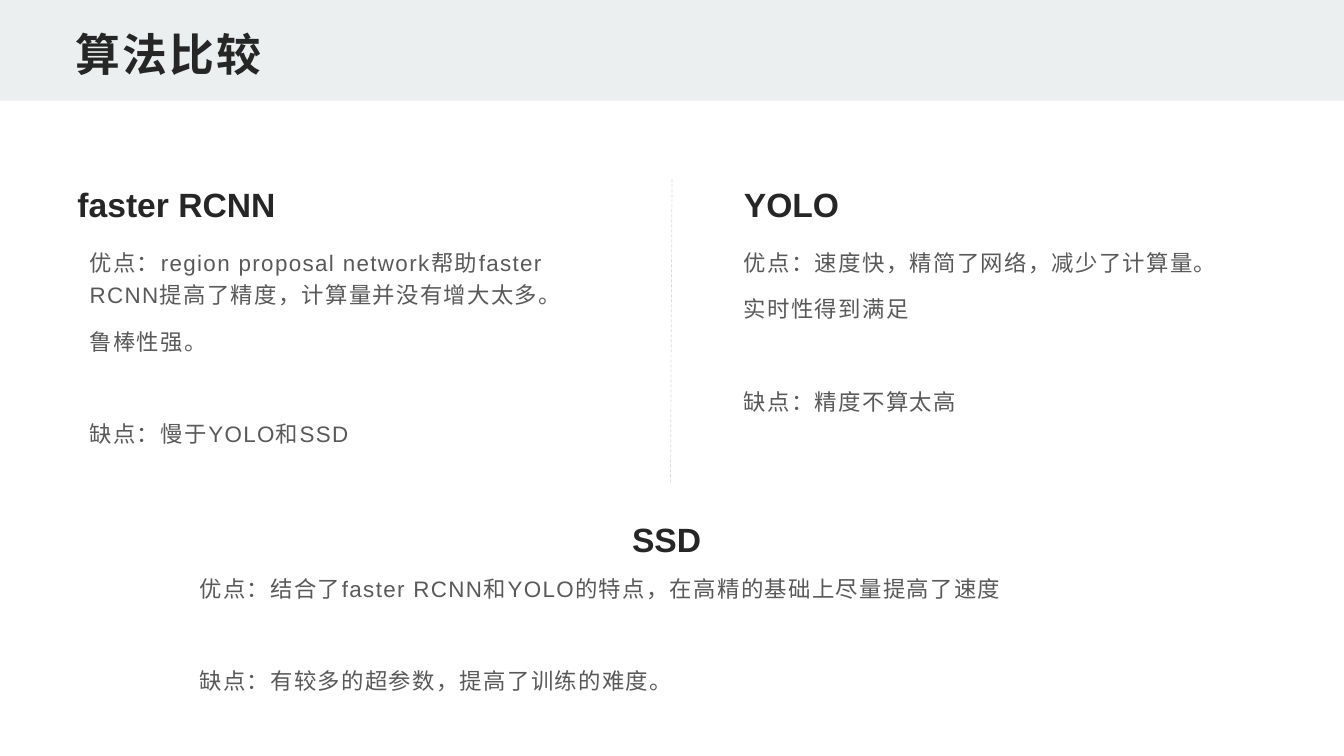
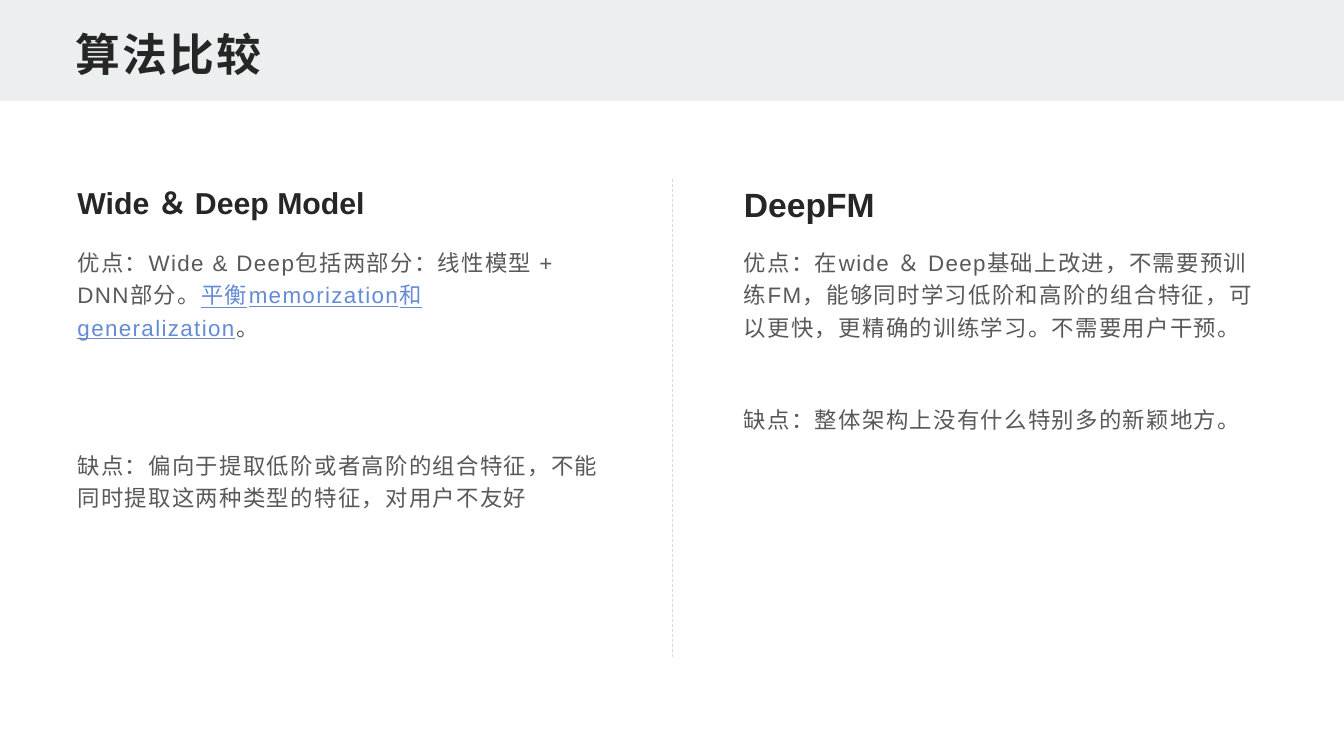
from dataclasses import dataclass

from lxml import etree
from pptx import Presentation
from pptx.dml.color import RGBColor as RGB
from pptx.enum.dml import MSO_LINE
from pptx.enum.lang import MSO_LANGUAGE_ID as LANG
from pptx.enum.shapes import MSO_CONNECTOR, MSO_SHAPE
from pptx.enum.text import MSO_ANCHOR
from pptx.oxml.ns import qn
from pptx.util import Inches, Pt

TITLE = "算法比较"

# A point is (blank lines before it, text pieces); every second piece is emphasised.
FASTER_RCNN = [
    (0, ["优点：region proposal network帮助faster RCNN提高了精度，计算量并没有增大太多。"]),
    (0, ["鲁棒性强。"]),
    (1, ["缺点：慢于YOLO和SSD"]),
]
YOLO = [
    (0, ["优点：速度快，精简了网络，减少了计算量。"]),
    (0, ["实时性得到满足"]),
    (1, ["缺点：精度不算太高"]),
]
SSD = [
    (0, ["优点：结合了faster RCNN和YOLO的特点，在高精的基础上尽量提高了速度"]),
    (1, ["缺点：有较多的超参数，提高了训练的难度。"]),
]
WIDE_DEEP = [
    (0, ["优点：Wide & Deep包括两部分：线性模型 + DNN部分。",
         "平衡memorization和generalization", "。"]),
    (2, ["缺点：偏向于提取低阶或者高阶的组合特征，不能同时提取这两种类型的特征，对用户不友好"]),
]
DEEP_FM = [
    (0, ["优点：在wide ＆ Deep基础上改进，不需要预训练FM，能够同时学习低阶和高阶的组合特征，"
         "可以更快，更精确的训练学习。不需要用户干预。"]),
    (1, ["缺点：整体架构上没有什么特别多的新颖地方。"]),
]


@dataclass(frozen=True)
class Theme:
    font: str = "Arial"
    band: RGB = RGB(0xEC, 0xEF, 0xEF)
    dark: RGB = RGB(0x26, 0x26, 0x26)
    body: RGB = RGB(0x59, 0x59, 0x59)
    accent: RGB = RGB(0x65, 0x8B, 0xD5)
    rule: RGB = RGB(0xD9, 0xD9, 0xD9)
    title_size: float = 32
    heading_size: float = 24
    small_heading_size: float = 21.6
    body_size: float = 16
    line_spacing: float = 1.2
    gap: float = 10
    blank_line: float = 33


THEME = Theme()
WIDTH, HEIGHT = 13.33, 7.5
MARGIN, COLUMN = 0.67, 5.38
LEFT, RIGHT = MARGIN, WIDTH - MARGIN - COLUMN
HEADING_TOP, HEADING_HEIGHT = 1.78, 0.5
BODY_TOP, BODY_HEIGHT = 2.37, 4.15
BODY_BOTTOM = BODY_TOP + BODY_HEIGHT


def inches(*lengths):
    return [Inches(length) for length in lengths]


def style(run, size, color, bold=False, tracking=0):
    """Format a run; tracking is letter spacing in points."""
    font = run.font
    font.name, font.size, font.bold = THEME.font, Pt(size), bold
    font.color.rgb = color
    font.language_id = LANG.SIMPLIFIED_CHINESE
    if tracking:
        run._r.get_or_add_rPr().set("spc", str(int(tracking * 100)))


def add_frame(slide, *box):
    frame = slide.shapes.add_textbox(*inches(*box)).text_frame
    frame.word_wrap = True
    return frame


def add_heading(slide, text, left, top=HEADING_TOP, size=THEME.heading_size):
    frame = add_frame(slide, left, top, COLUMN, HEADING_HEIGHT)
    frame.text = text
    style(frame.paragraphs[0].runs[0], size, THEME.dark, bold=True)


def add_points(slide, points, left, top=BODY_TOP, width=COLUMN, height=BODY_HEIGHT):
    frame = add_frame(slide, left, top, width, height)
    for index, (blank_lines, pieces) in enumerate(points):
        paragraph = frame.add_paragraph() if index else frame.paragraphs[0]
        paragraph.line_spacing = THEME.line_spacing
        paragraph.space_before = Pt(THEME.gap + blank_lines * THEME.blank_line)
        for position, piece in enumerate(pieces):
            emphasised = position % 2 == 1
            run = paragraph.add_run()
            run.text = piece
            style(run, THEME.body_size, THEME.accent if emphasised else THEME.body, tracking=1)
            run.font.underline = emphasised


def add_divider(slide, bottom, bottom_x=WIDTH / 2):
    divider = slide.shapes.add_connector(
        MSO_CONNECTOR.STRAIGHT, *inches(WIDTH / 2, HEADING_TOP, bottom_x, bottom))
    divider.line.color.rgb = THEME.rule
    divider.line.width = Pt(0.5)
    divider.line.dash_style = MSO_LINE.DASH
    etree.SubElement(divider._element.spPr, qn("a:effectLst"))


def add_titled_slide(deck):
    slide = deck.slides.add_slide(deck.slide_layouts[6])
    band = slide.shapes.add_shape(MSO_SHAPE.RECTANGLE, *inches(0, 0, WIDTH, 1))
    band.shadow.inherit = False
    band.fill.solid()
    band.fill.fore_color.rgb = THEME.band
    band.line.fill.background()

    frame = add_frame(slide, MARGIN, 0.17, WIDTH - 2 * MARGIN, 0.67)
    frame.vertical_anchor = MSO_ANCHOR.BOTTOM
    frame.margin_left = frame.margin_right = Inches(0.08)
    frame.margin_top = frame.margin_bottom = Inches(0.04)
    frame.text = TITLE
    style(frame.paragraphs[0].runs[0], THEME.title_size, THEME.dark, bold=True, tracking=1.5)
    return slide


def build_detection_slide(deck):
    slide = add_titled_slide(deck)
    add_points(slide, FASTER_RCNN, LEFT + 0.12)
    add_heading(slide, "faster RCNN", LEFT)
    add_divider(slide, 4.79, 6.65)
    add_points(slide, YOLO, RIGHT)
    add_heading(slide, "YOLO", RIGHT)
    add_heading(slide, "SSD", 6.17, 5.1)
    add_points(slide, SSD, 1.88, 5.6, 9.57, 1.73)


def build_recommendation_slide(deck):
    slide = add_titled_slide(deck)
    add_points(slide, WIDE_DEEP, LEFT)
    add_heading(slide, "Wide ＆ Deep Model", LEFT, size=THEME.small_heading_size)
    add_divider(slide, BODY_BOTTOM)
    add_points(slide, DEEP_FM, RIGHT)
    add_heading(slide, "DeepFM", RIGHT)


def main():
    deck = Presentation()
    deck.slide_width, deck.slide_height = inches(WIDTH, HEIGHT)
    build_detection_slide(deck)
    build_recommendation_slide(deck)
    deck.save("out.pptx")


if __name__ == "__main__":
    main()
